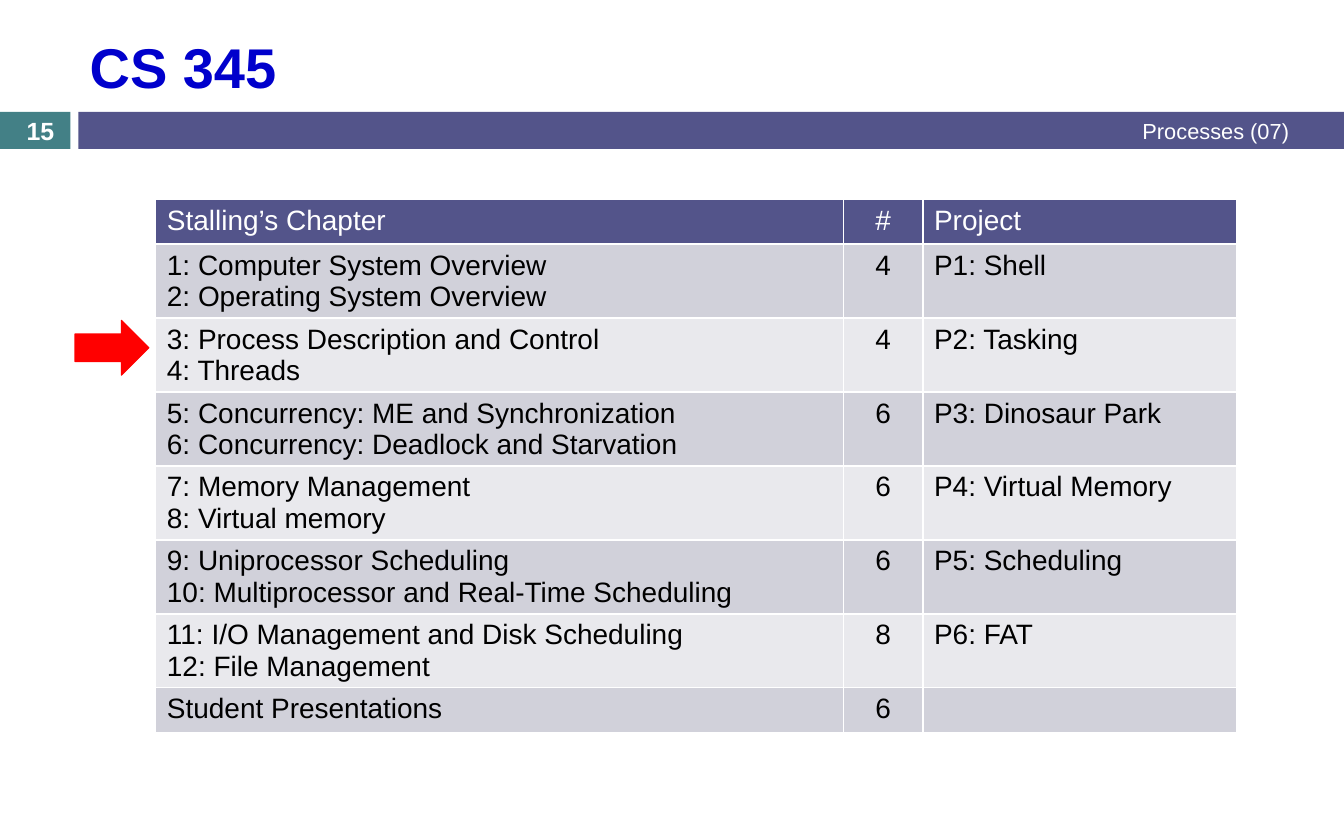
from lxml import etree
from pptx import Presentation
from pptx.dml.color import RGBColor
from pptx.enum.shapes import MSO_SHAPE
from pptx.enum.text import MSO_ANCHOR, PP_ALIGN
from pptx.oxml.ns import qn
from pptx.util import Inches, Pt

RECT, ARROW = MSO_SHAPE.RECTANGLE, MSO_SHAPE.RIGHT_ARROW
LEFT, CENTER, RIGHT = PP_ALIGN.LEFT, PP_ALIGN.CENTER, PP_ALIGN.RIGHT
MIDDLE = MSO_ANCHOR.MIDDLE

WHITE = RGBColor(0xFF, 0xFF, 0xFF)
BLACK = RGBColor(0, 0, 0)
BLUE = RGBColor(0, 0, 0xCC)
RED = RGBColor(0xFF, 0, 0)
TEAL = RGBColor(0x43, 0x80, 0x86)
INDIGO = RGBColor(0x53, 0x54, 0x8A)
BANDS = [RGBColor(0xE9, 0xE9, 0xED), RGBColor(0xD1, 0xD1, 0xDA)]

WIDTH, HEIGHT = 12, 7.5
BAND_TOP, BAND_HEIGHT = 1, 0.33
TABLE_LEFT, TABLE_TOP = 1.39, 1.78
COLUMNS = [6.14, 0.71, 2.8]
ALIGNS = [LEFT, CENTER, LEFT]
ROW_HEIGHTS = {1: 0.4, 2: 0.66}
CURRENT_ROW = 2

SCHEDULE = [
    ("Stalling’s Chapter", "#", "Project"),
    ("1: Computer System Overview\n2: Operating System Overview", "4", "P1: Shell"),
    ("3: Process Description and Control\n4: Threads", "4", "P2: Tasking"),
    ("5: Concurrency: ME and Synchronization\n6: Concurrency: Deadlock and Starvation",
     "6", "P3: Dinosaur Park"),
    ("7: Memory Management\n8: Virtual memory", "6", "P4: Virtual Memory"),
    ("9: Uniprocessor Scheduling\n10: Multiprocessor and Real-Time Scheduling",
     "6", "P5: Scheduling"),
    ("11: I/O Management and Disk Scheduling\n12: File Management", "8", "P6: FAT"),
    ("Student Presentations", "6", ""),
]


def write(tf, text, size=18, color=BLACK, bold=False, align=LEFT):
    tf.text = text
    for p in tf.paragraphs:
        p.alignment = align
        p.font.name = "Arial"
        p.font.size = Pt(size)
        p.font.bold = bold
        p.font.color.rgb = color


def add_block(slide, kind, box, color):
    sp = slide.shapes.add_shape(kind, *map(Inches, box))
    sp.shadow.inherit = False
    sp.fill.solid()
    sp.fill.fore_color.rgb = color
    sp.line.fill.background()
    return sp


def add_label(slide, text, box, **fmt):
    tf = slide.shapes.add_textbox(*map(Inches, box)).text_frame
    tf.word_wrap = True
    tf.vertical_anchor = MIDDLE
    write(tf, text, color=WHITE, **fmt)


def set_title(slide, text):
    sp = slide.shapes.title
    sp.left, sp.top, sp.width, sp.height = map(Inches, (0.7, 0.19, 10.91, 0.8))
    sp.text_frame.vertical_anchor = MIDDLE
    write(sp.text_frame, text, size=36, color=BLUE, bold=True)


def add_borders(cell):
    props = cell._tc.get_or_add_tcPr()
    for side in ("a:lnL", "a:lnR", "a:lnT", "a:lnB"):
        line = etree.SubElement(props, qn(side), w=str(Pt(1)))
        fill = etree.SubElement(line, qn("a:solidFill"))
        etree.SubElement(fill, qn("a:srgbClr"), val=str(WHITE))


def add_schedule(slide, heights):
    box = (TABLE_LEFT, TABLE_TOP, sum(COLUMNS), sum(heights))
    table = slide.shapes.add_table(len(SCHEDULE), len(COLUMNS), *map(Inches, box)).table
    for column, width in zip(table.columns, COLUMNS):
        column.width = Inches(width)
    for i, (texts, height) in enumerate(zip(SCHEDULE, heights)):
        table.rows[i].height = Inches(height)
        for j, text in enumerate(texts):
            cell = table.cell(i, j)
            add_borders(cell)
            cell.fill.solid()
            cell.fill.fore_color.rgb = BANDS[i % 2] if i else INDIGO
            write(cell.text_frame, text, color=BLACK if i else WHITE, align=ALIGNS[j])


def add_marker(slide, heights):
    width, height = 0.66, 0.49
    top = TABLE_TOP + sum(heights[:CURRENT_ROW])
    sp = add_block(slide, ARROW, (TABLE_LEFT - width - 0.06, top + 0.02, width, height), RED)
    sp.line.color.rgb = RED
    sp.line.width = Pt(0.75)


def main():
    prs = Presentation()
    prs.slide_width, prs.slide_height = Inches(WIDTH), Inches(HEIGHT)
    slide = prs.slides.add_slide(prs.slide_layouts[5])
    heights = [ROW_HEIGHTS[row[0].count("\n") + 1] for row in SCHEDULE]

    add_block(slide, RECT, (0, BAND_TOP, 0.63, BAND_HEIGHT), TEAL)
    add_block(slide, RECT, (0.7, BAND_TOP, WIDTH - 0.7, BAND_HEIGHT), INDIGO)
    add_schedule(slide, heights)
    add_marker(slide, heights)
    add_label(slide, "Processes (07)", (4.5, 0.99, 7.11, 0.35), size=14, align=RIGHT)
    add_label(slide, "15", (0, 1.02, 0.72, 0.3), size=16, bold=True, align=CENTER)
    set_title(slide, "CS 345")
    prs.save("out.pptx")


if __name__ == "__main__":
    main()
